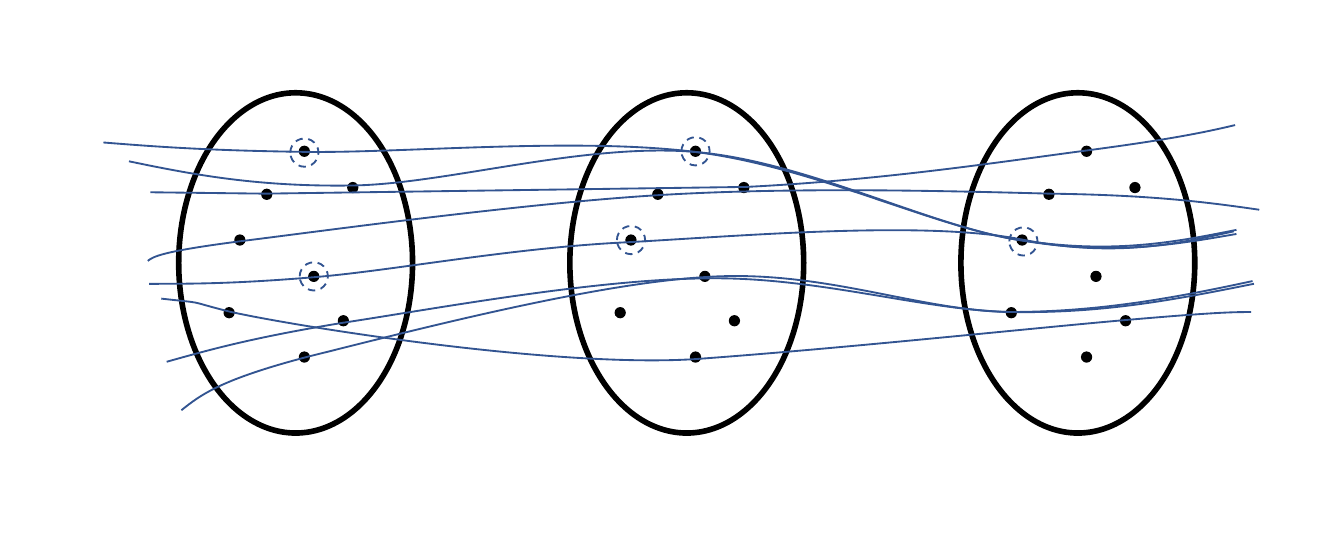
from lxml import etree
from pptx import Presentation
from pptx.dml.color import RGBColor
from pptx.enum import dml, shapes
from pptx.oxml.ns import qn
from pptx.util import Inches, Pt

COLORS = {"ink": "000000", "paper": "FFFFFF", "track": "325491"}

# One cell, repeated at an equal step
CELL = (1.33, 0.69, 1.74, 2.53)
STEP = 2.91
COUNT = 3
DOT = 0.07
DOTS = [(1.95, 1.41), (1.75, 1.75), (2.23, 1.09), (2.59, 1.36),
        (2.3, 2.02), (2.52, 2.35), (2.23, 2.62), (1.67, 2.29)]

# Dashed rings around chosen dots
RING = 0.21
RINGS = [(5.07, 1.02), (7.51, 1.69), (2.16, 1.03), (2.23, 1.95), (4.59, 1.68)]

# Each track: a start, then lines (one point) or curves (two handles, end)
TRACKS = [
    [(0.77, 1.06),
     [(1.15, 1.09), (1.53, 1.12), (2.27, 1.13)],
     [(3, 1.14), (4.28, 1.02), (5.17, 1.13)],
     [(6.06, 1.24), (6.94, 1.69), (7.61, 1.79)],
     [(8.28, 1.9), (8.74, 1.82), (9.2, 1.74)]],
    [(0.96, 1.2),
     [(1.44, 1.3), (1.92, 1.39), (2.62, 1.38)],
     [(3.32, 1.37), (4.34, 1.06), (5.17, 1.13)],
     [(6.01, 1.2), (6.95, 1.7), (7.62, 1.79)],
     [(8.29, 1.89), (8.75, 1.8), (9.2, 1.71)]],
    [(1.12, 1.43),
     [(1.97, 1.44)],
     [(5.55, 1.39)],
     [(6.57, 1.34), (7.47, 1.2), (8.08, 1.12)],
     [(8.68, 1.04), (8.94, 0.99), (9.19, 0.93)]],
    [(1.1, 1.94),
     [(1.14, 1.91), (1.19, 1.87), (1.82, 1.79)],
     [(2.46, 1.71), (3.92, 1.51), (4.92, 1.45)],
     [(5.92, 1.39), (7.07, 1.42), (7.81, 1.44)],
     [(8.55, 1.45), (8.96, 1.5), (9.37, 1.56)]],
    [(1.11, 2.11),
     [(1.43, 2.11), (1.75, 2.11), (2.35, 2.06)],
     [(2.94, 2.01), (3.82, 1.84), (4.69, 1.8)],
     [(5.57, 1.75), (6.89, 1.64), (7.6, 1.78)],
     [(8.3, 1.92), (8.77, 1.81), (9.18, 1.72)]],
    [(1.2, 2.22),
     [(1.55, 2.26), (1.37, 2.23), (1.68, 2.31)],
     [(1.99, 2.39), (4.06, 2.74), (5.17, 2.67)],
     [(6.28, 2.59), (7.68, 2.44), (8.37, 2.38)],
     [(9.06, 2.32), (9.18, 2.32), (9.31, 2.32)]],
    [(1.24, 2.69),
     [(1.56, 2.6), (1.88, 2.51), (2.55, 2.4)],
     [(3.21, 2.3), (4.4, 2.08), (5.23, 2.07)],
     [(6.07, 2.05), (6.86, 2.31), (7.54, 2.32)],
     [(8.23, 2.33), (8.78, 2.22), (9.33, 2.11)]],
    [(1.35, 3.05),
     [(1.5, 2.93), (1.65, 2.82), (2.3, 2.65)],
     [(2.95, 2.49), (4.38, 2.11), (5.25, 2.06)],
     [(6.12, 2), (6.83, 2.31), (7.51, 2.32)],
     [(8.19, 2.32), (8.76, 2.21), (9.32, 2.09)]],
]


def style(shape, line, width=1, fill=None):
    shape.shadow.inherit = False
    if fill:
        shape.fill.solid()
        shape.fill.fore_color.rgb = RGBColor.from_string(COLORS[fill])
    else:
        shape.fill.background()
    shape.line.color.rgb = RGBColor.from_string(COLORS[line])
    shape.line.width = Pt(width)


def add_oval(parent, left, top, width, height, line, weight=1, fill=None):
    box = [Inches(v) for v in (left, top, width, height)]
    oval = parent.shapes.add_shape(shapes.MSO_SHAPE.OVAL, *box)
    style(oval, line, weight, fill)
    return oval


def add_cell(slide, shift):
    group = slide.shapes.add_group_shape()
    left, top, width, height = CELL
    add_oval(group, left + shift, top, width, height, "ink", 3, "paper")
    for x, y in DOTS:
        add_oval(group, x + shift, y, DOT, DOT, "ink", fill="ink")


def add_track(slide, start, *parts):
    # Join the nodes, then bend each line that has handles
    ends = [(Inches(x), Inches(y)) for x, y in (part[-1] for part in parts)]
    pen = slide.shapes.build_freeform(Inches(start[0]), Inches(start[1]))
    pen.add_line_segments(ends, close=False)
    track = pen.convert_to_shape()
    lines = list(track._element.iter(qn("a:lnTo")))
    for line, part in zip(lines, parts):
        if len(part) == 1:
            continue
        curve = etree.Element(qn("a:cubicBezTo"))
        for x, y in part:
            etree.SubElement(curve, qn("a:pt"),
                             x=str(Inches(x) - track.left),
                             y=str(Inches(y) - track.top))
        line.getparent().replace(line, curve)
    style(track, "track")


def add_ring(slide, left, top):
    ring = add_oval(slide, left, top, RING, RING, "track")
    ring.line.dash_style = dml.MSO_LINE.DASH


def main():
    deck = Presentation()
    deck.slide_width, deck.slide_height = Inches(10), Inches(4)
    slide = deck.slides.add_slide(deck.slide_layouts[6])

    for index in range(COUNT):
        add_cell(slide, index * STEP)
    for track in TRACKS:
        add_track(slide, *track)
    for left, top in RINGS:
        add_ring(slide, left, top)

    deck.save("out.pptx")


if __name__ == "__main__":
    main()
